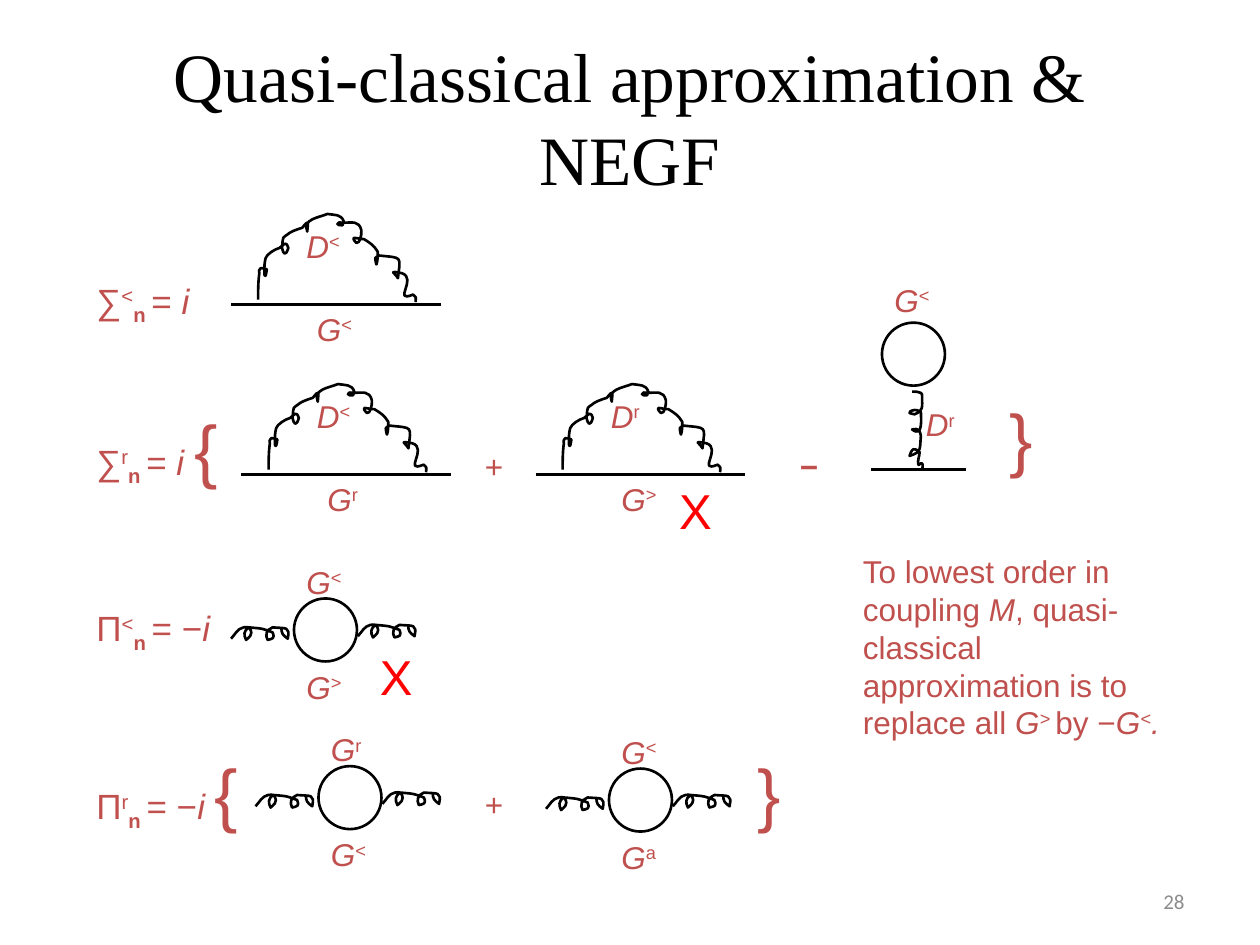
from dataclasses import dataclass

from lxml.etree import SubElement
from pptx import Presentation
from pptx.dml.color import RGBColor
from pptx.enum.shapes import MSO_CONNECTOR as Connector, MSO_SHAPE as Shape
from pptx.enum.text import MSO_ANCHOR as Anchor, PP_ALIGN as Align
from pptx.oxml.ns import qn
from pptx.util import Pt


@dataclass(frozen=True)
class Theme:
    ink: RGBColor = RGBColor(0x00, 0x00, 0x00)
    accent: RGBColor = RGBColor(0xC0, 0x50, 0x4D)
    strike: RGBColor = RGBColor(0xFF, 0x00, 0x00)
    muted: RGBColor = RGBColor(0x8C, 0x8C, 0x8C)
    title_font: str = "Times New Roman"
    body_font: str = "Arial"
    number_font: str = "Calibri"
    title_size: float = 39.6
    brace_size: float = 40
    strike_size: float = 28
    equation_size: float = 20
    label_size: float = 18
    number_size: float = 12
    line_width: float = 1.5


THEME = Theme()
CURVE_UNIT = 0.72  # points per unit of the curve tables
LABEL_WIDTH, LABEL_HEIGHT = 36, 28.8
CIRCLE = 36

# Each curve: start point, then Bezier segments (two control points, end point)
ARC = ((0, 68), (
    (0, 61, 0, 54, 1, 47), (1, 46, 0, 44, 2, 43), (3, 42, 5, 44, 7, 44),
    (6, 46, 7, 48, 6, 49), (5, 50, 5, 47, 5, 46), (5, 42, 5, 39, 6, 35),
    (7, 32, 13, 28, 17, 27), (21, 24, 22, 21, 24, 27), (22, 34, 20, 32, 19, 27),
    (20, 16, 19, 20, 25, 15), (28, 13, 35, 11, 35, 11), (40, 5, 40, 5, 39, 14),
    (35, 4, 48, 3, 55, 0), (61, 1, 66, 0, 68, 6), (67, 7, 68, 8, 67, 9),
    (65, 9, 63, 9, 63, 8), (63, 6, 65, 7, 67, 7), (75, 7, 80, 5, 82, 13),
    (82, 15, 82, 18, 81, 20), (81, 22, 79, 23, 78, 23), (77, 22, 75, 20, 76, 19),
    (78, 19, 81, 20, 84, 20), (89, 23, 92, 25, 95, 30), (95, 33, 95, 37, 94, 40),
    (94, 41, 93, 37, 93, 35), (93, 34, 95, 34, 96, 33),
    (115, 35, 113, 33, 111, 51), (108, 46, 103, 45, 114, 47),
    (127, 51, 106, 71, 123, 64), (126, 67, 125, 65, 125, 70)))
SQUIGGLE = ((0, 10), (
    (3, 7, 5, 2, 10, 1), (11, 1, 14, 0, 15, 2), (18, 7, 14, 9, 12, 11),
    (10, 7, 10, 4, 14, 1), (26, 2, 25, 2, 33, 5), (35, 10, 33, 10, 29, 11),
    (27, 7, 28, 3, 33, 1), (44, 2, 47, 0, 45, 10), (41, 7, 40, 6, 40, 1)))
HANGER = ((2, 0), (
    (5, 0, 7, 0, 9, 1), (10, 1, 10, 3, 10, 4), (10, 13, 11, 15, 4, 18),
    (2, 17, 1, 18, 0, 17), (0, 16, 1, 15, 2, 15), (5, 14, 7, 15, 9, 16),
    (9, 21, 11, 37, 2, 30), (7, 29, 8, 30, 9, 35), (8, 45, 10, 48, 0, 51),
    (2, 45, 3, 44, 8, 48), (8, 51, 6, 55, 7, 58), (7, 59, 9, 56, 10, 57),
    (11, 58, 10, 61, 10, 62)))


def add_text(slide, box, spans, size=THEME.label_size, color=THEME.accent,
             font=THEME.body_font, align=Align.LEFT, anchor=Anchor.TOP, wrap=True):
    """Add spans of (text, marks): i italic, b bold, ^ raised, _ lowered, + brace size."""
    frame = slide.shapes.add_textbox(*map(Pt, box)).text_frame
    frame.word_wrap, frame.vertical_anchor = wrap, anchor
    paragraph = frame.paragraphs[0]
    paragraph.alignment = align
    paragraph.font.name = font
    paragraph.font.size = Pt(size)
    paragraph.font.color.rgb = color
    for text, marks in spans:
        run = paragraph.add_run()
        run.text = text
        if "i" in marks:
            run.font.italic = True
        if "b" in marks:
            run.font.bold = True
        if "+" in marks:
            run.font.size = Pt(THEME.brace_size)
        for mark, baseline in (("^", "30000"), ("_", "-25000")):
            if mark in marks:
                run._r.get_or_add_rPr().set("baseline", baseline)


def add_label(slide, left, top, name):
    """Add a function letter with its raised index, such as G<."""
    add_text(slide, (left, top, LABEL_WIDTH, LABEL_HEIGHT),
             [(name[0], "i"), (name[1], "^")])


def add_equation(slide, top, symbol, index, sign="", brace="", width=90):
    spans = [(symbol, ""), (index, "^"), ("n ", "_b"), ("= " + sign, "")]
    spans += [("i ", "i"), (brace, "+")] if brace else [("i", "i")]
    add_text(slide, (48, top, width, 55.4 if brace else 31), spans, THEME.equation_size)


def add_closing_brace(slide, left, top):
    add_text(slide, (left, top, 30, 55.4), [("}", "")], THEME.brace_size)


def add_strike(slide, left, top):
    add_text(slide, (left, top, 33, 41), [("Χ", "")], THEME.strike_size,
             THEME.strike, wrap=False)


def style_line(line):
    line.color.rgb = THEME.ink
    line.width = Pt(THEME.line_width)


def add_line(slide, left, y, length):
    line = slide.shapes.add_connector(
        Connector.STRAIGHT, Pt(left), Pt(y), Pt(left + length), Pt(y))
    style_line(line.line)
    SubElement(line._element.spPr, qn("a:effectLst"))


def add_outline(shape):
    shape.shadow.inherit = False
    shape.fill.background()
    style_line(shape.line)


def add_circle(slide, left, top):
    add_outline(slide.shapes.add_shape(
        Shape.OVAL, Pt(left), Pt(top), Pt(CIRCLE), Pt(CIRCLE)))


def add_curve(slide, left, top, curve):
    """Build a freeform through the end points, then bend its sides into Beziers."""
    start, segments = curve
    ends = [start] + [segment[4:] for segment in segments]
    points = [(Pt(left + x * CURVE_UNIT), Pt(top + y * CURVE_UNIT)) for x, y in ends]
    builder = slide.shapes.build_freeform(*points[0])
    builder.add_line_segments(points[1:], close=False)
    shape = builder.convert_to_shape()

    min_x, min_y = (min(values) for values in zip(*ends))
    outline = next(shape._element.iter(qn("a:path")))
    for side, segment in zip(outline.findall(qn("a:lnTo")), segments):
        outline.remove(side)
        bend = SubElement(outline, qn("a:cubicBezTo"))
        for x, y in zip(segment[::2], segment[1::2]):
            SubElement(bend, qn("a:pt"), x=str(int(Pt((x - min_x) * CURVE_UNIT))),
                       y=str(int(Pt((y - min_y) * CURVE_UNIT))))
    add_outline(shape)


def add_arc_diagram(slide, left, y, upper, lower):
    add_line(slide, left, y, 120)
    add_curve(slide, left + 15.5, y - 51.7, ARC)
    add_label(slide, left + 42, y - 0.6, lower)
    add_label(slide, left + 36, y - 48, upper)


def add_bubble_diagram(slide, left, top, upper, lower):
    add_circle(slide, left, top)
    add_curve(slide, left + 36.5, top + 14.4, SQUIGGLE)
    add_curve(slide, left - 36, top + 15.8, SQUIGGLE)
    add_label(slide, left, top - 24, upper)
    add_label(slide, left, top + CIRCLE, lower)


def add_tadpole_diagram(slide):
    add_circle(slide, 504, 184.4)
    add_line(slide, 498, 268.4, 54)
    add_curve(slide, 519.8, 223.8, HANGER)
    add_label(slide, 522, 228, "Dr")
    add_label(slide, 504, 157, "G<")


def main():
    presentation = Presentation()
    presentation.slide_width, presentation.slide_height = Pt(720), Pt(540)
    slide = presentation.slides.add_slide(presentation.slide_layouts[6])

    add_text(slide, (36, 21.6, 648, 90),
             [("Quasi-classical approximation & NEGF", "")], THEME.title_size,
             THEME.ink, THEME.title_font, Align.CENTER, Anchor.MIDDLE)

    add_equation(slide, 156, "∑", "<")
    add_equation(slide, 228, "∑", "r", brace="{")
    add_equation(slide, 343.2, "Π", "<", "−")
    add_equation(slide, 424.8, "Π", "r", "−", "{", 114)

    for diagram in ((132, 174, "D<", "G<"), (138, 271.2, "D<", "Gr"),
                    (306, 271.2, "Dr", "G>")):
        add_arc_diagram(slide, *diagram)
    add_tadpole_diagram(slide)
    for diagram in ((168, 342, "G<", "G>"), (182, 437.8, "Gr", "G<"),
                    (348, 439.2, "G<", "Ga")):
        add_bubble_diagram(slide, *diagram)

    for top in (252, 445.2):
        add_text(slide, (270, top, 24, LABEL_HEIGHT), [("+", "")])
    add_text(slide, (450, 252, LABEL_WIDTH, LABEL_HEIGHT), [("−", "b")])
    add_closing_brace(slide, 570, 222)
    add_closing_brace(slide, 426, 424.8)
    add_strike(slide, 210, 366)
    add_strike(slide, 381, 271.2)

    add_text(slide, (486, 312, 186, 136.8), [
        ("To lowest order in coupling ", ""), ("M", "i"),
        (", quasi-classical approximation is to replace all ", ""),
        ("G", "i"), ("> ", "i^"), ("by −", ""), ("G", "i"), ("<", "i^"), (".", "i")])
    add_text(slide, (516, 500.4, 168, 28.8), [("28", "")], THEME.number_size,
             THEME.muted, THEME.number_font, Align.RIGHT, Anchor.MIDDLE)

    presentation.save("out.pptx")


if __name__ == "__main__":
    main()
